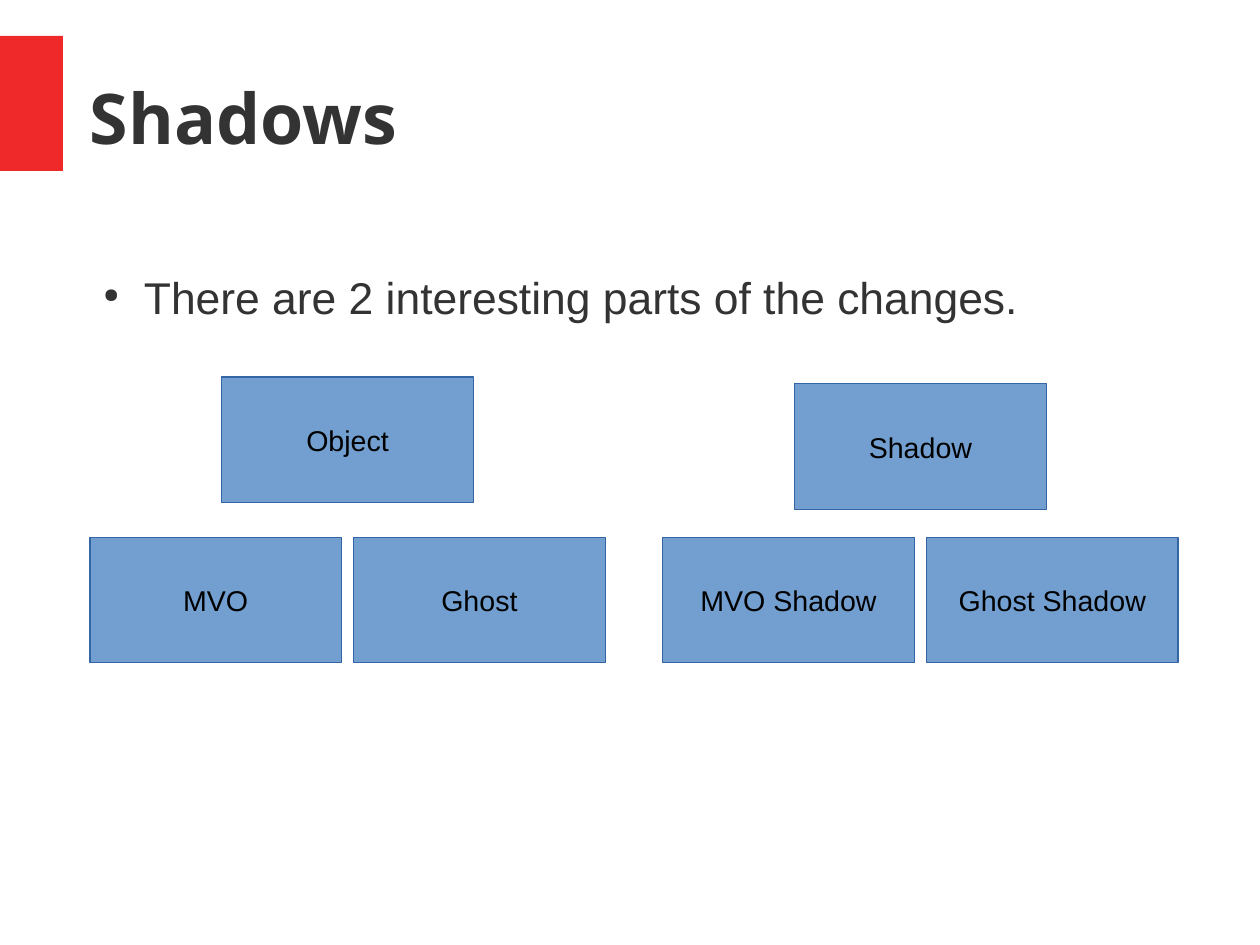
from lxml import etree
from pptx import Presentation
from pptx import util as u
from pptx.dml.color import RGBColor
from pptx.enum import shapes, text
from pptx.oxml import ns


def color(value):
    return RGBColor.from_string(value)


class ShadowPage:
    """Holds the style and the current slide and draws each kind of element."""

    INK, ACCENT, FILL, LINE = "333333", "EF2929", "729FCF", "3465A4"
    WIDTH, HEIGHT, PITCH = 5.59, 2.79, 5.86

    def __init__(self, deck):
        self.page = deck.slides.add_slide(deck.slide_layouts[6])

    def rectangle(self, left, top, width, height, fill, line=None):
        box = self.page.shapes.add_shape(
            shapes.MSO_SHAPE.RECTANGLE,
            u.Cm(left), u.Cm(top), u.Cm(width), u.Cm(height))
        box.shadow.inherit = False
        box.fill.solid()
        box.fill.fore_color.rgb = color(fill)
        if line:
            box.line.color.rgb = color(line)
            box.line.width = 0
        else:
            box.line.fill.background()
        return box

    def label(self, frame, words, size, ink, font="Arial", bold=False):
        frame.text = words
        para = frame.paragraphs[0]
        span = para.runs[0]
        span.font.name = font
        span.font.size = u.Pt(size)
        span.font.bold = bold
        span.font.color.rgb = color(ink)
        return para

    def textbox(self, left, top, width, height, anchor, words, size, **style):
        box = self.page.shapes.add_textbox(
            u.Cm(left), u.Cm(top), u.Cm(width), u.Cm(height))
        frame = box.text_frame
        frame.word_wrap = True
        frame.vertical_anchor = anchor
        frame.margin_left = frame.margin_right = 0
        frame.margin_top = frame.margin_bottom = 0
        return self.label(frame, words, size, self.INK, **style)

    def bullet(self, para):
        para.space_after = u.Pt(14.2)
        properties = para._p.get_or_add_pPr()
        properties.set("marL", str(u.Cm(1.2)))
        properties.set("indent", str(u.Cm(-0.9)))
        tint = etree.SubElement(properties, ns.qn("a:buClr"))
        etree.SubElement(tint, ns.qn("a:srgbClr"), val=self.INK)
        etree.SubElement(properties, ns.qn("a:buSzPct"), val="45000")
        etree.SubElement(properties, ns.qn("a:buChar"), char="●")

    def block(self, left, top, words):
        box = self.rectangle(left, top, self.WIDTH, self.HEIGHT, self.FILL, self.LINE)
        frame = box.text_frame
        frame.word_wrap = False
        frame.vertical_anchor = text.MSO_ANCHOR.MIDDLE
        para = self.label(frame, words, 18, "000000")
        para.alignment = text.PP_ALIGN.CENTER

    def group(self, left, top, parent, children):
        self.block(left + self.PITCH / 2, top, parent)
        for column, child in enumerate(children):
            self.block(left + column * self.PITCH, 11.94, child)


def main():
    deck = Presentation()
    deck.slide_width, deck.slide_height = u.Cm(28), u.Cm(21)
    page = ShadowPage(deck)
    page.rectangle(0, 0.8, 1.4, 3, page.ACCENT)
    page.textbox(2, 0.85, 24.6, 3.5, text.MSO_ANCHOR.MIDDLE,
                 "Shadows", 44, font="Open Sans", bold=True)
    page.bullet(page.textbox(2, 6, 24, 12.2, text.MSO_ANCHOR.TOP,
                             "There are 2 interesting parts of the changes.", 28))
    page.group(2, 8.38, "Object", ["MVO", "Ghost"])
    page.group(14.73, 8.53, "Shadow", ["MVO Shadow", "Ghost Shadow"])
    deck.save("out.pptx")


if __name__ == "__main__":
    main()
